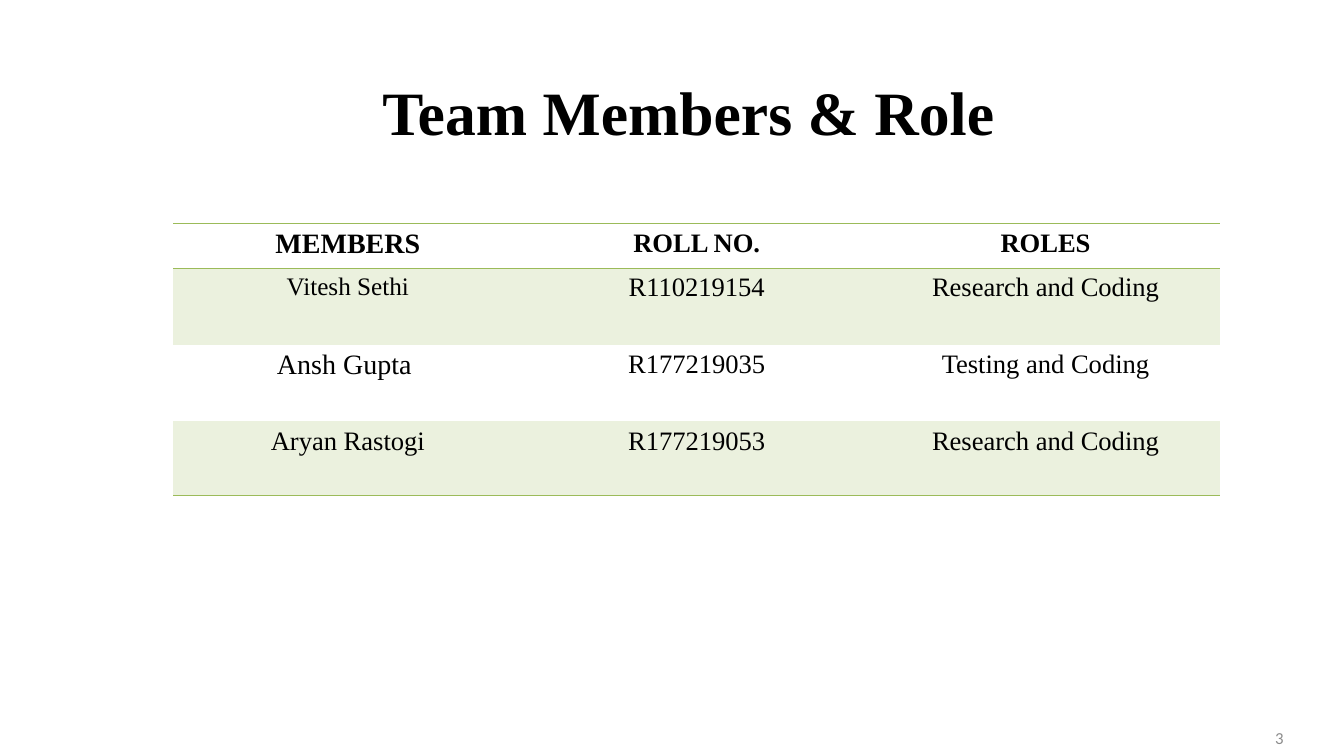
from pptx import Presentation
from pptx.dml.color import RGBColor
from pptx.enum.text import MSO_ANCHOR as Anchor, PP_ALIGN as Align
from pptx.oxml import parse_xml
from pptx.oxml.ns import nsdecls
from pptx.util import Pt

TITLE = "Team Members & Role"
PAGE_NUMBER = "3"
HEADER = [("MEMBERS", 20), ("ROLL NO.", 19), ("ROLES", 19)]
MEMBERS = [
    [("Vitesh Sethi", 18), ("R110219154", 19), ("Research and Coding", 19)],
    [("Ansh Gupta ", 20), ("R177219035", 19), ("Testing and Coding", 19)],
    [("Aryan Rastogi", 19), ("R177219053", 19), ("Research and Coding", 19)],
]

BLACK = RGBColor(0x00, 0x00, 0x00)
GRAY = RGBColor(0x8C, 0x8C, 0x8C)
GREEN = RGBColor(0x9B, 0xBB, 0x59)
PALE_GREEN = RGBColor(0xEB, 0xF1, 0xDE)
SERIF, SANS = "Times New Roman", "Calibri"
PLAIN_TABLE_STYLE = "{2D5ABB26-0587-4C30-8999-92F81FD0307C}"

PX = 9144  # 100 px to the inch
COLUMN_WIDTH = 346
ROW_HEIGHTS = [44, 76, 76, 74]


def px(*lengths):
    return [length * PX for length in lengths]


def write(frame, text, size, align, font=SERIF, color=BLACK, bold=False):
    para = frame.paragraphs[0]
    para.alignment = align
    span = para.add_run()
    span.text = text
    span.font.name = font
    span.font.size = Pt(size)
    span.font.bold = bold
    span.font.color.rgb = color


def add_text(page, bounds, *args, **style):
    frame = page.shapes.add_textbox(*px(*bounds)).text_frame
    frame.word_wrap = True
    frame.vertical_anchor = Anchor.MIDDLE
    write(frame, *args, **style)


def add_borders(cell, sides):
    """Draw green rules on the given sides, listed in schema order (T, B)."""
    for index, side in enumerate(sides):
        line = parse_xml(
            f'<a:ln{side} {nsdecls("a")} w="{Pt(1)}"><a:solidFill>'
            f'<a:srgbClr val="{GREEN}"/></a:solidFill></a:ln{side}>')
        cell._tc.get_or_add_tcPr().insert(index, line)


def add_member_table(page):
    rows = [HEADER] + MEMBERS
    bounds = px(172, 222, COLUMN_WIDTH * len(HEADER), sum(ROW_HEIGHTS))
    frame = page.shapes.add_table(len(rows), len(HEADER), *bounds)
    table = frame.table
    table.first_row = table.horz_banding = False
    table._tbl.tblPr[0].text = PLAIN_TABLE_STYLE
    for column in table.columns:
        column.width = COLUMN_WIDTH * PX
    borders = {0: "TB", len(rows) - 1: "B"}
    for r, entries in enumerate(rows):
        table.rows[r].height = ROW_HEIGHTS[r] * PX
        for c, (text, size) in enumerate(entries):
            cell = table.cell(r, c)
            write(cell.text_frame, text, size, Align.CENTER, bold=r == 0)
            if r % 2:
                cell.fill.solid()
                cell.fill.fore_color.rgb = PALE_GREEN
            else:
                cell.fill.background()
            add_borders(cell, borders.get(r, ""))


def main():
    deck = Presentation()
    deck.slide_width, deck.slide_height = px(1333, 750)
    page = deck.slides.add_slide(deck.slide_layouts[6])
    add_text(page, (972, 712, 311, 40), PAGE_NUMBER, 12, Align.RIGHT,
             font=SANS, color=GRAY)
    add_text(page, (83, 47, 1200, 125), TITLE, 44, Align.CENTER, bold=True)
    add_member_table(page)
    deck.save("out.pptx")


if __name__ == "__main__":
    main()
